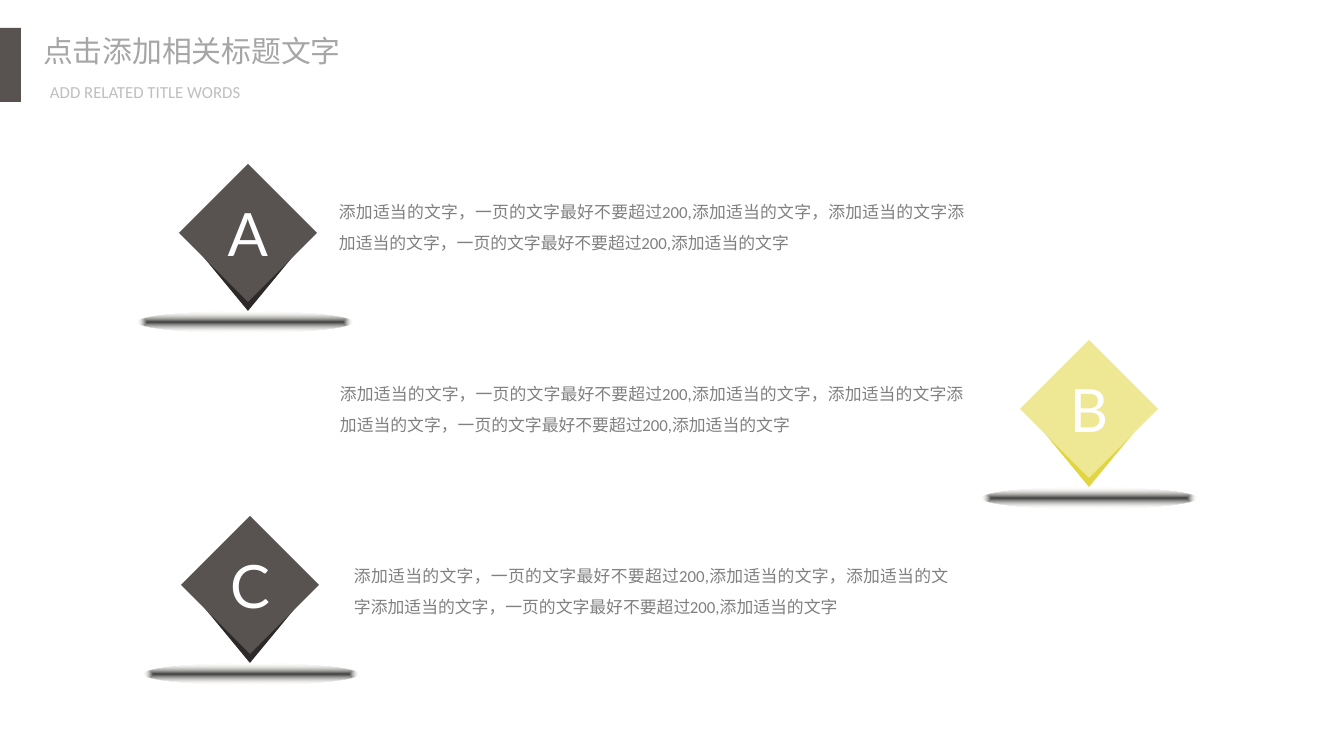
from lxml import etree
from pptx import Presentation
from pptx.dml.color import RGBColor
from pptx.enum.shapes import MSO_SHAPE
from pptx.enum.text import MSO_ANCHOR, MSO_AUTO_SIZE, PP_ALIGN
from pptx.oxml import parse_xml
from pptx.oxml.ns import nsdecls, qn
from pptx.util import Emu, Pt

RECT, OVAL, DIAMOND = MSO_SHAPE.RECTANGLE, MSO_SHAPE.OVAL, MSO_SHAPE.DIAMOND
TOP, MIDDLE = MSO_ANCHOR.TOP, MSO_ANCHOR.MIDDLE
LEFT, CENTER, JUSTIFY = PP_ALIGN.LEFT, PP_ALIGN.CENTER, PP_ALIGN.JUSTIFY
FIT = MSO_AUTO_SIZE.SHAPE_TO_FIT_TEXT
CJK, LATIN, LETTER = "Noto Sans CJK SC", "Calibri", "Lato"
DARK, DARKER = "585251", "2C2928"
YELLOW, GOLD = "EEE895", "E1D642"
PIN, PIN_BACK = 138, 114
PIN_TOP, PIN_STEP = 164, 176
BODY_TOP, BODY_STEP = 184, 182
BODY = ("添加适当的文字，一页的文字最好不要超过200,添加适当的文字，添加适当的文字"
        "添加适当的文字，一页的文字最好不要超过200,添加适当的文字")
ITEMS = [
    ("A", 179, 138, DARK, DARKER, 324, 655),
    ("B", 1020, 982, YELLOW, GOLD, 325, 653),
    ("C", 181, 144, DARK, DARKER, 339, 624),
]
GRADIENT = (
    f'<a:gradFill {nsdecls("a")} rotWithShape="1"><a:gsLst>'
    '<a:gs pos="0"><a:srgbClr val="404040"/></a:gs>'
    '<a:gs pos="100000"><a:srgbClr val="EEECE1"><a:alpha val="0"/></a:srgbClr></a:gs>'
    '</a:gsLst><a:path path="shape">'
    '<a:fillToRect l="50000" t="50000" r="50000" b="50000"/></a:path></a:gradFill>'
)


def px(n):
    """Convert pixels to EMU."""
    return Emu(round(n * 914400 / 134.4))


def rgb(value):
    """Turn a hex string into a colour."""
    return RGBColor.from_string(value)


def add_shape(shapes, kind, x, y, w, h, color):
    """Add a plain filled shape without line or shadow."""
    s = shapes.add_shape(kind, px(x), px(y), px(w), px(h))
    s.shadow.inherit = False
    s.line.fill.background()
    s.fill.solid()
    s.fill.fore_color.rgb = rgb(color)
    return s


def write(s, text, size, color, align, inset, font=LATIN, anchor=TOP, wrap=True):
    """Write one formatted paragraph into a shape."""
    tf = s.text_frame
    tf.word_wrap = wrap
    tf.vertical_anchor = anchor
    tf.margin_left = tf.margin_right = px(inset[0])
    tf.margin_top = tf.margin_bottom = px(inset[1])
    p = tf.paragraphs[0]
    p.alignment = align
    r = p.add_run()
    r.text = text
    r.font.size = Pt(size)
    r.font.name = font
    r.font.color.rgb = rgb(color)
    etree.SubElement(r._r.get_or_add_rPr(), qn("a:ea")).set("typeface", CJK)
    return p


def add_text(shapes, x, y, w, h, *args):
    """Add a text box that fits its text."""
    s = shapes.add_textbox(px(x), px(y), px(w), px(h))
    p = write(s, *args)
    s.text_frame.auto_size = FIT
    return p


def add_header(shapes):
    """Add the side bar, the title and its subtitle."""
    add_shape(shapes, RECT, 0, 28, 21, 74, DARK)
    s = shapes.title
    s.left, s.top, s.width, s.height = px(32), px(28), px(323), px(47)
    write(s, "点击添加相关标题文字", 16, "A6A6A6", LEFT, (11, 5), CJK, TOP, False)
    s.text_frame.auto_size = FIT
    add_text(shapes, 39, 77, 300, 31, "ADD RELATED TITLE WORDS", 9, "BFBFBF", JUSTIFY, (11, 5))


def add_shadow(shapes, x, y):
    """Add a flat ellipse that fades out towards its edge."""
    s = add_shape(shapes, OVAL, x, y, 214, 20, "404040")
    s.rotation = 180
    spPr = s._element.spPr
    spPr.replace(spPr.find(qn("a:solidFill")), parse_xml(GRADIENT))


def add_pin(shapes, letter, x, y, front, back):
    """Add a grouped pair of diamonds with a letter on the front one."""
    group = shapes.add_group_shape().shapes
    add_shape(group, DIAMOND, x + (PIN - PIN_BACK) // 2, y + 9, PIN_BACK, PIN, back)
    s = add_shape(group, DIAMOND, x, y, PIN, PIN, front)
    write(s, letter, 32, "FFFFFF", CENTER, (0, 0), LETTER, MIDDLE)


def main():
    """Build the slide."""
    prs = Presentation()
    prs.slide_width, prs.slide_height = px(1344), px(756)
    shapes = prs.slides.add_slide(prs.slide_layouts[5]).shapes
    add_header(shapes)
    for i, (letter, x, shadow_x, front, back, body_x, body_w) in enumerate(ITEMS):
        y = PIN_TOP + i * PIN_STEP
        add_shadow(shapes, shadow_x, y + 148)
        add_pin(shapes, letter, x, y, front, back)
        p = add_text(shapes, body_x, BODY_TOP + i * BODY_STEP, body_w, 77,
                     BODY, 9, "808080", JUSTIFY, (15, 8))
        p.line_spacing = 1.5
    prs.save("out.pptx")


if __name__ == "__main__":
    main()
